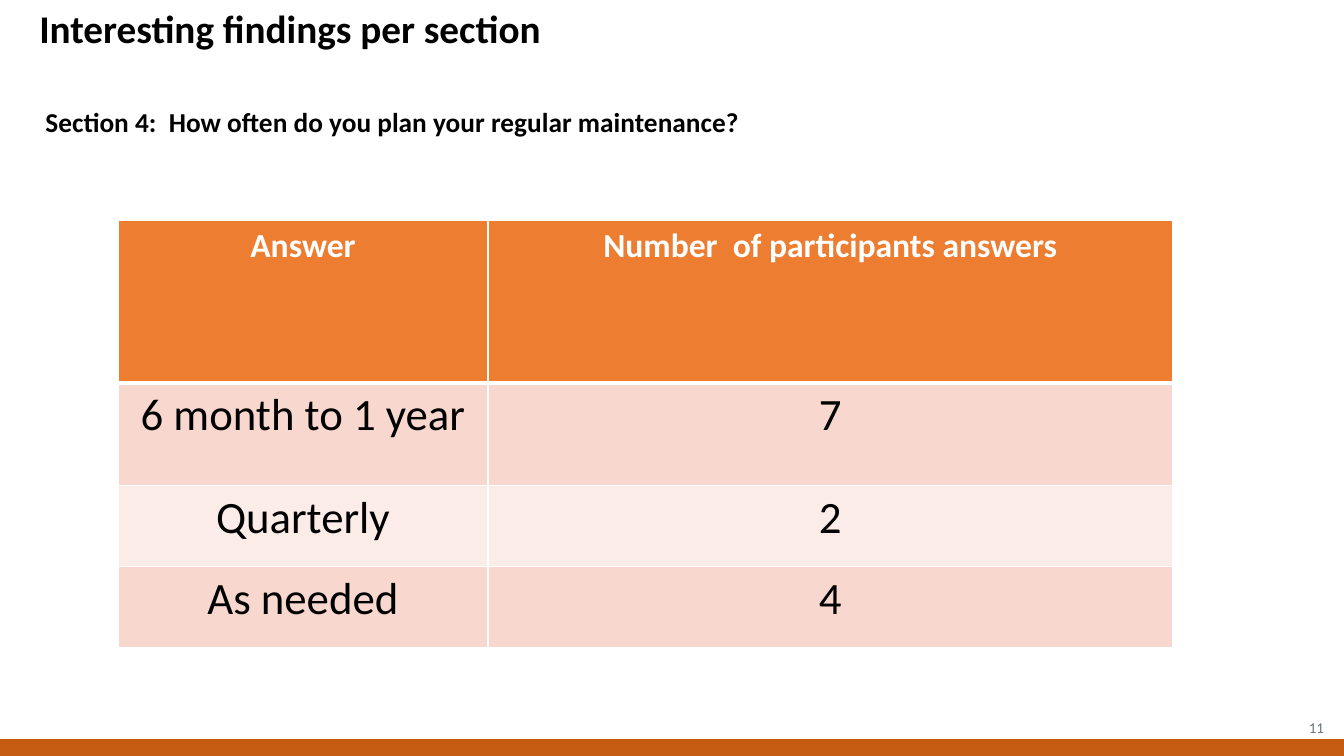
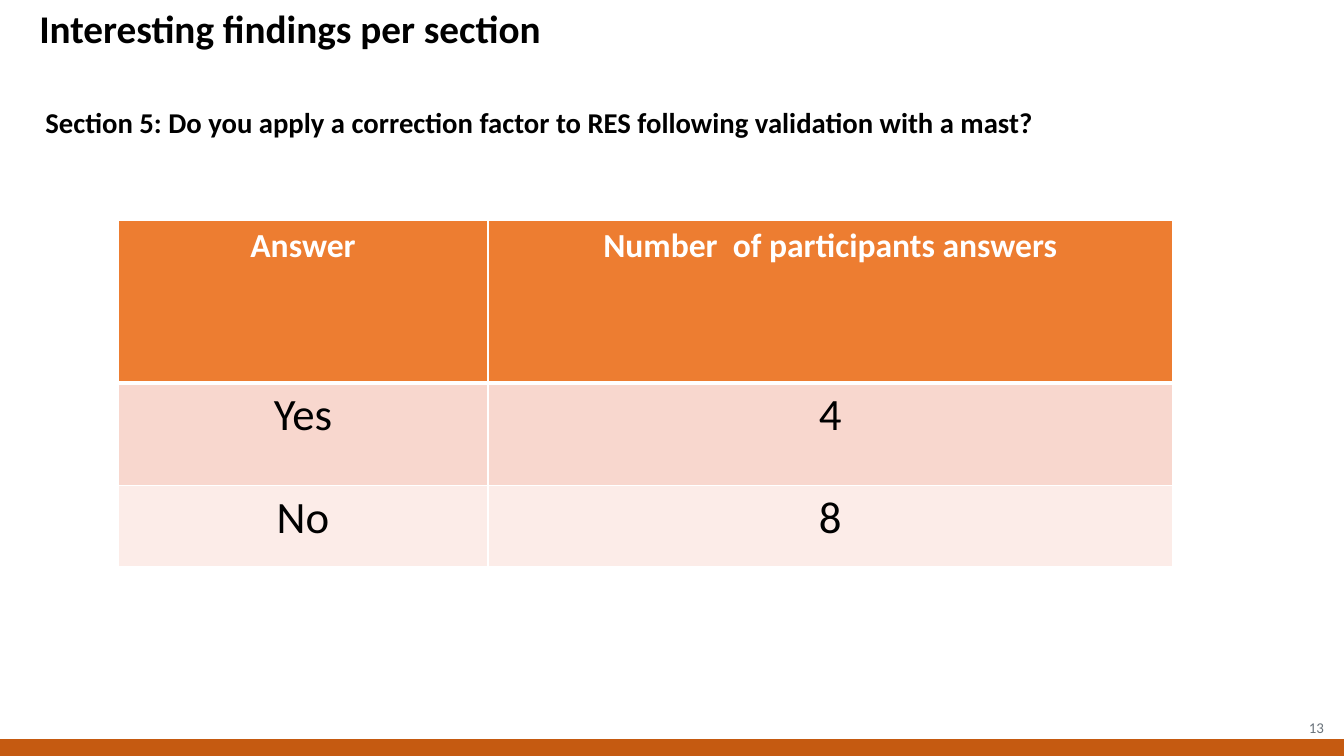
from lxml.etree import SubElement
from pptx import Presentation
from pptx.dml.color import RGBColor
from pptx.enum.shapes import MSO_SHAPE
from pptx.enum.text import MSO_ANCHOR, PP_ALIGN
from pptx.oxml.ns import qn
from pptx.util import Inches, Pt

COLORS = {
    "white": "FFFFFF",
    "black": "000000",
    "band": "C55A11",
    "header": "ED7D31",
    "odd_row": "F8D7CE",
    "even_row": "FCECE8",
    "number": "6A737B",
}
FONT = "Calibri"

# Left, top, width and height in percent of the slide
TITLE_BOX = (0, 1.47, 85.15, 5.33)
QUESTION_BOX = (0.45, 13.47, 104.05, 5.87)
NUMBER_BOX = (95.05, 93.6, 4.2, 5.33)
BAND_BOX = (-0.08, 97.6, 100.68, 3.33)
HEADING_INDENT = 2.93

# Table measures in percent of the slide
TABLE_ORIGIN = (8.78, 29.2)
COLUMN_WIDTHS = (27.53, 50.94)
HEADER_HEIGHT, FIRST_HEIGHT, ROW_HEIGHT = 21.47, 13.6, 10.67

HEADER_FORMAT = {"size": 24, "color": "white", "bold": True}
BODY_FORMAT = {"size": 32, "color": "black", "bold": False}

TITLE = "Interesting findings per section"
HEADERS = ("Answer", "Number  of participants answers")
FINDINGS = [
    {
        "number": 11,
        "question": "Section 4:  How often do you plan your regular maintenance?",
        "question_size": 19.5,
        "answers": [("6 month to 1 year", 7), ("Quarterly", 2), ("As needed", 4)],
    },
    {
        "number": 13,
        "question": "Section 5: Do you apply a correction factor to RES "
                    "following validation with a mast?",
        "question_size": 20.5,
        "answers": [("Yes", 4), ("No", 8)],
    },
]


def rgb(name):
    return RGBColor.from_string(COLORS[name])


class Deck:
    """Holds the presentation, its style and the current slide."""

    def __init__(self):
        self.presentation = Presentation()
        self.presentation.slide_width = Inches(13.33)
        self.presentation.slide_height = Inches(7.5)
        self.slide = None

    def add_slide(self):
        blank_layout = self.presentation.slide_layouts[6]
        self.slide = self.presentation.slides.add_slide(blank_layout)

    def across(self, percent):
        return round(self.presentation.slide_width * percent / 100)

    def down(self, percent):
        return round(self.presentation.slide_height * percent / 100)

    def box(self, left, top, width, height):
        return self.across(left), self.down(top), self.across(width), self.down(height)

    def fill_text(self, text_frame, text, size, color, bold=False,
                  alignment=PP_ALIGN.LEFT, line_spacing=1.0):
        paragraph = text_frame.paragraphs[0]
        paragraph.alignment = alignment
        paragraph.line_spacing = line_spacing
        run = paragraph.add_run()
        run.text = str(text)
        run.font.color.rgb = rgb(color)
        font_values = {"name": FONT, "size": Pt(size), "bold": bold}
        for attribute, value in font_values.items():
            setattr(run.font, attribute, value)

    def text(self, box, text, indent=None, **text_format):
        text_frame = self.slide.shapes.add_textbox(*self.box(*box)).text_frame
        frame_values = {"word_wrap": True, "vertical_anchor": MSO_ANCHOR.MIDDLE}
        if indent is not None:
            frame_values["margin_left"] = self.across(indent)
        for attribute, value in frame_values.items():
            setattr(text_frame, attribute, value)
        self.fill_text(text_frame, text, **text_format)

    def heading(self, box, text, size):
        self.text(box, text, indent=HEADING_INDENT, size=size,
                  color="black", bold=True, line_spacing=0.9)

    def page_number(self, number):
        self.text(NUMBER_BOX, number, size=10.7, color="number",
                  alignment=PP_ALIGN.RIGHT)

    def band(self):
        shape = self.slide.shapes.add_shape(MSO_SHAPE.RECTANGLE, *self.box(*BAND_BOX))
        shape.shadow.inherit = False
        shape.fill.solid()
        shape.fill.fore_color.rgb = rgb("band")
        shape.line.color.rgb = rgb("white")
        shape.line.width = Pt(1)

    def borders(self, cell, top, bottom):
        """Draw white cell borders; call before filling, as the schema order requires."""
        properties = cell._tc.get_or_add_tcPr()
        for side, points in {"L": 1, "R": 1, "T": top, "B": bottom}.items():
            line = SubElement(properties, qn(f"a:ln{side}"), w=str(Pt(points)))
            fill = SubElement(line, qn("a:solidFill"))
            SubElement(fill, qn("a:srgbClr"), val=COLORS["white"])

    def cell(self, cell, text, row):
        if row == 0:
            fill, text_format = "header", HEADER_FORMAT
        else:
            fill, text_format = ("odd_row" if row % 2 else "even_row"), BODY_FORMAT
        self.borders(cell, top=3 if row == 1 else 1, bottom=3 if row == 0 else 1)
        cell.fill.solid()
        cell.fill.fore_color.rgb = rgb(fill)
        self.fill_text(cell.text_frame, text, alignment=PP_ALIGN.CENTER, **text_format)

    def table(self, answers):
        rows = [HEADERS, *answers]
        heights = [HEADER_HEIGHT, FIRST_HEIGHT] + [ROW_HEIGHT] * (len(answers) - 1)
        area = self.box(*TABLE_ORIGIN, sum(COLUMN_WIDTHS), sum(heights))
        table = self.slide.shapes.add_table(len(rows), len(HEADERS), *area).table
        for column, width in zip(table.columns, COLUMN_WIDTHS):
            column.width = self.across(width)
        for row, (values, height) in enumerate(zip(rows, heights)):
            table.rows[row].height = self.down(height)
            for column, value in enumerate(values):
                self.cell(table.cell(row, column), value, row)

    def finding(self, number, question, question_size, answers):
        self.add_slide()
        self.heading(TITLE_BOX, TITLE, 28)
        self.page_number(number)
        self.band()
        self.heading(QUESTION_BOX, question, question_size)
        self.table(answers)


def main():
    deck = Deck()
    for finding in FINDINGS:
        deck.finding(**finding)
    deck.presentation.save("out.pptx")


if __name__ == "__main__":
    main()
